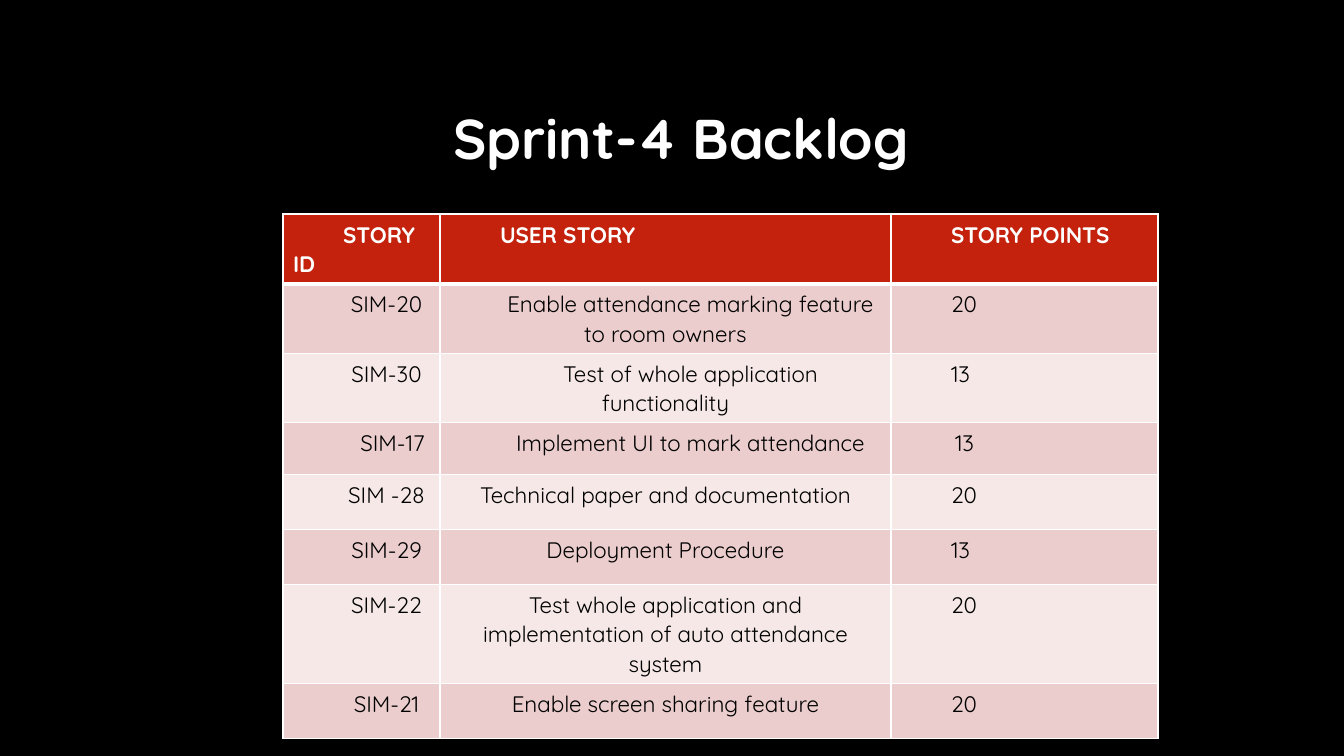
from dataclasses import dataclass

from lxml import etree
from pptx import Presentation
from pptx import util as u
from pptx.dml.color import RGBColor
from pptx.enum import text
from pptx.oxml.ns import qn

PX = 914400 / 100.8  # EMU in one px


@dataclass(frozen=True)
class Theme:
    font: str = "Quicksand"
    background: str = "000000"
    title: str = "FFFFFF"
    header_fill: str = "C4220D"
    header_text: str = "FFFFFF"
    body_text: str = "000000"
    bands: tuple = ("EACDCC", "F5E8E7")
    border: str = "FFFFFF"
    title_size: int = 40
    table_size: int = 16
    border_width: int = 1
    header_border_width: int = 3


THEME = Theme()
LEFT, CENTER = text.PP_ALIGN.LEFT, text.PP_ALIGN.CENTER

INDENT = 50
HEADERS = ("STORY ID", "USER STORY", "STORY POINTS")
COLUMN_ALIGNMENT = (CENTER, CENTER, LEFT)
COLUMN_WIDTHS = (157, 451, 267)
ROW_HEIGHTS = (70, 69, 69, 52, 55, 55, 99, 55)

# Each story: texts, then the first-line indent of each cell
STORIES = (
    (("SIM-20", "Enable attendance marking feature to room owners", "20"), (INDENT, INDENT, INDENT)),
    (("SIM-30", "Test of whole application functionality", "13"), (INDENT, INDENT, INDENT)),
    (("SIM-17", "Implement UI to mark attendance", "13"), (62, INDENT, 54)),
    (("SIM -28", "Technical paper and documentation", "20"), (INDENT, 0, INDENT)),
    (("SIM-29", "Deployment Procedure", "13"), (INDENT, 0, INDENT)),
    (("SIM-22", "Test whole application and implementation of auto attendance system", "20"),
     (INDENT, 0, INDENT)),
    (("SIM-21", "Enable screen sharing feature", "20"), (INDENT, 0, INDENT)),
)


def px(length):
    return u.Emu(round(length * PX))


def set_format(target, values):
    for name, value in values.items():
        setattr(target, name, value)


def write_paragraph(paragraph, content, size, color, bold, layout):
    paragraph.text = content
    set_format(paragraph, layout)
    set_format(paragraph.font, {"name": THEME.font, "size": u.Pt(size), "bold": bold})
    paragraph.font.color.rgb = RGBColor.from_string(color)


def add_title(slide, content, box):
    title = slide.shapes.title
    set_format(title, dict(zip(("left", "top", "width", "height"), map(px, box))))
    set_format(title.text_frame, {
        "word_wrap": True,
        "auto_size": text.MSO_AUTO_SIZE.NONE,
        "vertical_anchor": text.MSO_ANCHOR.MIDDLE,
    })
    write_paragraph(title.text_frame.paragraphs[0], content, THEME.title_size, THEME.title, True, {
        "alignment": LEFT, "line_spacing": 0.9, "space_before": u.Pt(0), "space_after": u.Pt(6),
    })


def set_borders(cell, top, bottom):
    properties = cell._tc.get_or_add_tcPr()
    widths = {"L": THEME.border_width, "R": THEME.border_width, "T": top, "B": bottom}
    for side, width in widths.items():
        line = etree.SubElement(properties, qn(f"a:ln{side}"), w=str(u.Pt(width)))
        fill = etree.SubElement(line, qn("a:solidFill"))
        etree.SubElement(fill, qn("a:srgbClr"), val=THEME.border)


def fill_cell(cell, content, alignment, indent, row):
    header = row == 0
    top = THEME.header_border_width if row == 1 else THEME.border_width
    bottom = THEME.header_border_width if header else THEME.border_width
    set_borders(cell, top, bottom)
    cell.fill.solid()
    color = THEME.header_fill if header else THEME.bands[(row - 1) % 2]
    cell.fill.fore_color.rgb = RGBColor.from_string(color)

    paragraph = cell.text_frame.paragraphs[0]
    if indent:
        paragraph._p.get_or_add_pPr().set("indent", str(px(indent)))
    write_paragraph(paragraph, content, THEME.table_size,
                    THEME.header_text if header else THEME.body_text, header, {
                        "alignment": alignment, "line_spacing": 1.06, "space_after": u.Pt(8),
                    })


def add_backlog_table(slide, left, top):
    rows = ((HEADERS, (INDENT,) * len(HEADERS)),) + STORIES
    table = slide.shapes.add_table(
        len(rows), len(HEADERS), px(left), px(top),
        px(sum(COLUMN_WIDTHS)), px(sum(ROW_HEIGHTS))).table
    table.horz_banding = False
    for column, width in zip(table.columns, COLUMN_WIDTHS):
        column.width = px(width)
    for row, height in zip(table.rows, ROW_HEIGHTS):
        row.height = px(height)

    for row, (contents, indents) in enumerate(rows):
        alignments = COLUMN_ALIGNMENT if row else (LEFT,) * len(HEADERS)
        for column, values in enumerate(zip(contents, alignments, indents)):
            fill_cell(table.cell(row, column), *values, row)


def main():
    presentation = Presentation()
    set_format(presentation, {"slide_width": px(1344), "slide_height": px(756)})
    slide = presentation.slides.add_slide(presentation.slide_layouts[5])

    # Background
    slide.background.fill.solid()
    slide.background.fill.fore_color.rgb = RGBColor.from_string(THEME.background)

    # Title and backlog
    add_title(slide, "Sprint-4 Backlog", (443, 79, 503, 124))
    add_backlog_table(slide, 283, 214)

    presentation.save("out.pptx")


if __name__ == "__main__":
    main()
